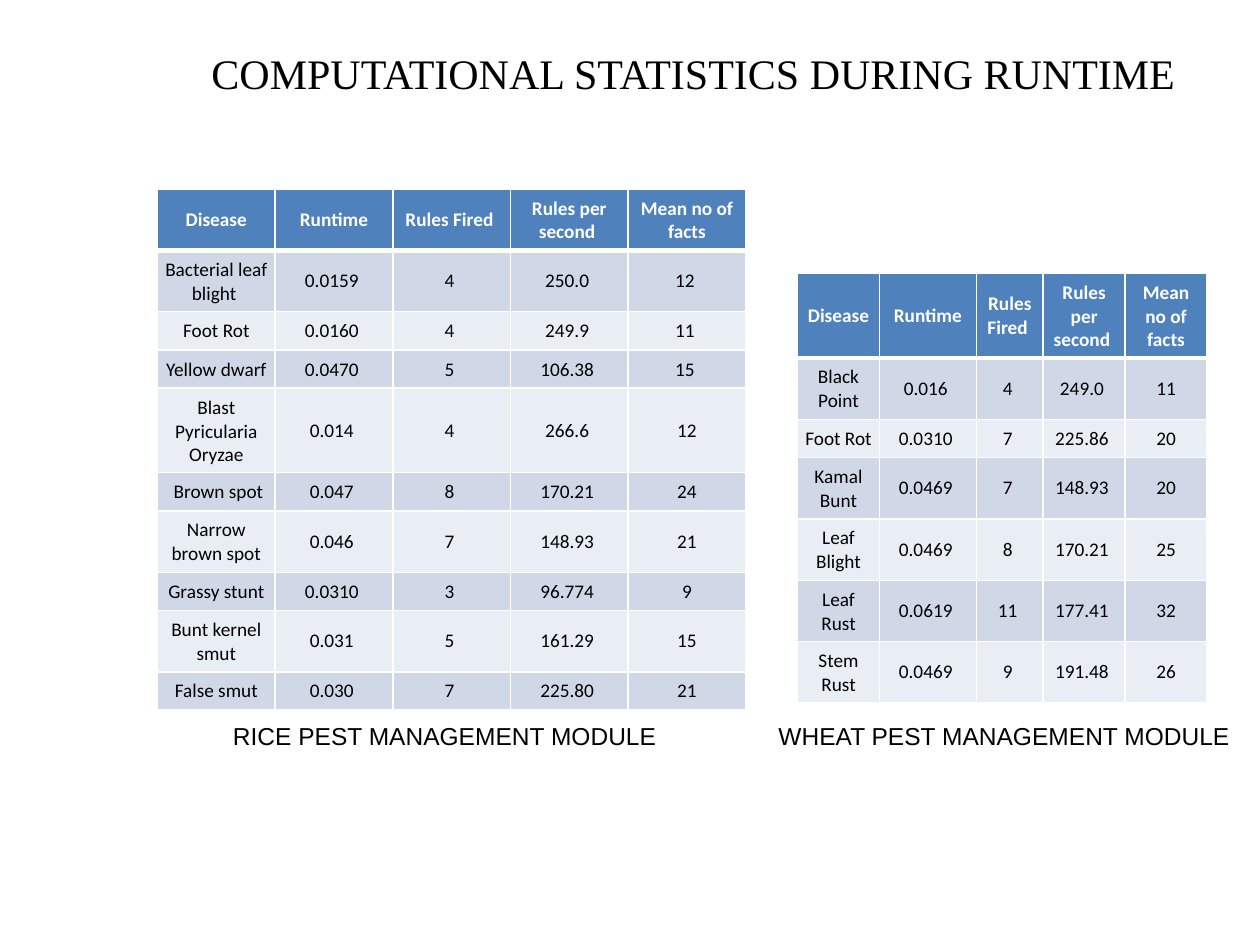
from lxml.etree import SubElement
from pptx import Presentation
from pptx.dml.color import RGBColor
from pptx.enum.text import MSO_ANCHOR, MSO_AUTO_SIZE, PP_ALIGN
from pptx.oxml.ns import qn
from pptx.util import Inches, Pt

WHITE, BLACK = "FFFFFF", "000000"
HEADER_FILL = "4F81BD"
BAND_FILLS = ("D0D8E8", "E9EDF4")

HEADINGS = ("Disease", " Runtime ", "Rules Fired ", "Rules per second ", "Mean no of facts")
RICE_RUNS = (
    ("Bacterial leaf blight ", "0.0159 ", "4 ", "250.0 ", "12 "),
    ("Foot Rot", "0.0160 ", "4 ", "249.9 ", "11 "),
    ("Yellow dwarf ", "0.0470 ", "5 ", "106.38 ", "15 "),
    ("Blast Pyricularia Oryzae", "0.014 ", "4 ", "266.6 ", "12"),
    (" Brown spot", "0.047 ", "8 ", "170.21 ", "24"),
    ("Narrow brown spot", "0.046 ", "7 ", "148.93 ", "21"),
    ("Grassy stunt", "0.0310 ", "3 ", "96.774 ", "9"),
    ("Bunt kernel smut", "0.031 ", "5 ", "161.29 ", "15"),
    ("False smut", "0.030 ", "7 ", "225.80 ", "21"),
)
WHEAT_RUNS = (
    ("Black Point", "0.016 ", "4 ", "249.0 ", "11"),
    ("Foot Rot", "0.0310 ", "7 ", "225.86 ", "20"),
    ("Kamal Bunt", "0.0469 ", "7 ", "148.93 ", "20"),
    ("Leaf Blight", "0.0469 ", "8 ", "170.21 ", "25"),
    ("Leaf Rust", "0.0619 ", "11 ", "177.41 ", "32"),
    ("Stem Rust", "0.0469 ", "9 ", "191.48 ", "26"),
)


def color(hex_value):
    return RGBColor.from_string(hex_value)


def style_font(paragraph, name, size, hex_value, bold=False):
    for run in paragraph.runs:
        run.font.name = name
        run.font.size = Pt(size)
        run.font.bold = bold
        run.font.color.rgb = color(hex_value)


def add_label(slide, box, wording, font_name, size):
    label = slide.shapes.add_textbox(*map(Inches, box))
    frame = label.text_frame
    frame.word_wrap = True
    frame.auto_size = MSO_AUTO_SIZE.SHAPE_TO_FIT_TEXT
    frame.text = wording
    style_font(frame.paragraphs[0], font_name, size, BLACK)


def add_borders(cell, top, bottom):
    properties = cell._tc.get_or_add_tcPr()
    for side, width in (("lnL", 1), ("lnR", 1), ("lnT", top), ("lnB", bottom)):
        border = SubElement(properties, qn(f"a:{side}"), w=str(Pt(width)))
        fill = SubElement(border, qn("a:solidFill"))
        SubElement(fill, qn("a:srgbClr"), val=WHITE)


def fill_cell(cell, wording, row_index):
    is_header = row_index == 0
    cell.text = wording
    cell.vertical_anchor = MSO_ANCHOR.MIDDLE
    cell.margin_left = cell.margin_right = Inches(0.06)
    cell.margin_top = cell.margin_bottom = Inches(0.06)
    paragraph = cell.text_frame.paragraphs[0]
    paragraph.alignment = PP_ALIGN.CENTER
    style_font(paragraph, "Calibri", 11, WHITE if is_header else BLACK, is_header)
    add_borders(cell, 3 if row_index == 1 else 1, 3 if is_header else 1)
    cell.fill.solid()
    cell.fill.fore_color.rgb = color(HEADER_FILL if is_header else BAND_FILLS[(row_index - 1) % 2])


def add_statistics(slide, box, runs, column_widths, row_heights):
    rows = (HEADINGS, *runs)
    statistics = slide.shapes.add_table(len(rows), len(HEADINGS), *map(Inches, box)).table
    for column, width in zip(statistics.columns, column_widths):
        column.width = Inches(width)
    for row_index, (row, height, wordings) in enumerate(zip(statistics.rows, row_heights, rows)):
        row.height = Inches(height)
        for cell, wording in zip(row.cells, wordings):
            fill_cell(cell, wording, row_index)


def main():
    deck = Presentation()
    deck.slide_width, deck.slide_height = Inches(10), Inches(7.5)
    slide = deck.slides.add_slide(deck.slide_layouts[6])

    add_label(slide, (1.75, 5.67, 3.92, 0.34), "RICE PEST MANAGEMENT MODULE", "Arial", 14)
    add_label(slide, (6.08, 5.67, 3.92, 0.34), "WHEAT PEST MANAGEMENT MODULE", "Arial", 14)
    add_label(slide, (1.58, 0.33, 8.42, 0.5), "COMPUTATIONAL STATISTICS DURING RUNTIME",
              "Times New Roman", 24)
    add_statistics(slide, (1.25, 1.5, 4.67, 4.05), RICE_RUNS, [4.67 / 5] * 5,
                   (0.45, 0.45, 0.3, 0.3, 0.63, 0.3, 0.45, 0.3, 0.45, 0.3))
    add_statistics(slide, (6.33, 2.17, 3.25, 3.34), WHEAT_RUNS, (0.65, 0.77, 0.53, 0.65, 0.65),
                   [0.39] + [0.24] * len(WHEAT_RUNS))
    deck.save("out.pptx")


if __name__ == "__main__":
    main()
